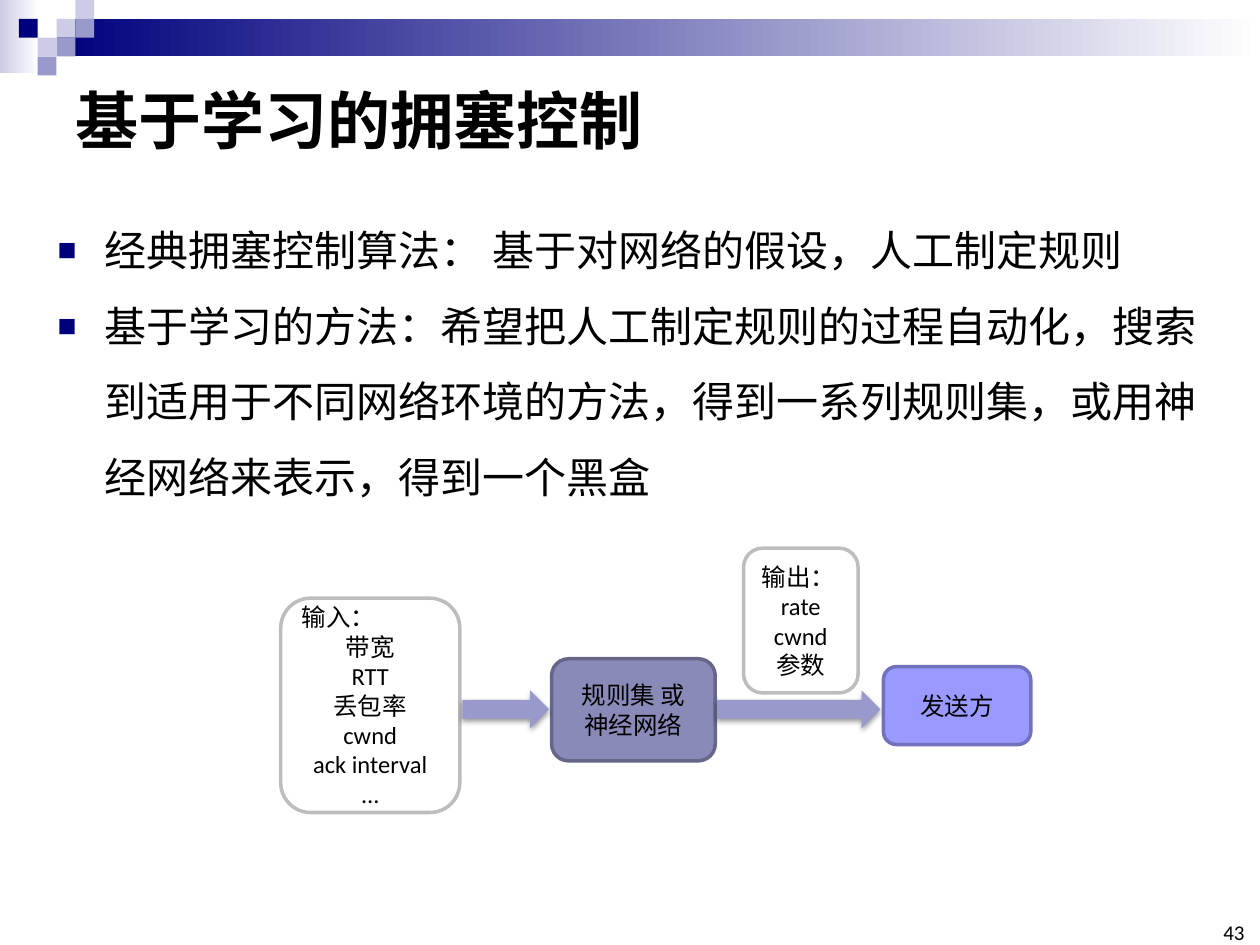
import pptx
import pptx.dml.color
import pptx.enum.shapes
import pptx.enum.text
import pptx.oxml
import pptx.oxml.ns
import pptx.util

Cm = pptx.util.Cm
SHAPE = pptx.enum.shapes.MSO_SHAPE
ALIGN = pptx.enum.text.PP_ALIGN
ANCHOR = pptx.enum.text.MSO_ANCHOR
FONT = "Calibri"
NAVY, LILAC, PALE, WHITE, BLACK = "00007D", "9999CC", "CCCCE6", "FFFFFF", "000000"

TITLE = "基于学习的拥塞控制"
POINTS = [
    "经典拥塞控制算法： 基于对网络的假设，人工制定规则",
    "基于学习的方法：希望把人工制定规则的过程自动化，搜索到适用于不同网络环境的方法，"
    "得到一系列规则集，或用神经网络来表示，得到一个黑盒",
]
PAGE_NUMBER = "43"
CELL = 0.38
BANDS = [((0, 0, 0.79, 1.47), PALE), ((1.14, 0.38, 24.26, 0.76), NAVY)]
SQUARES = [(3, 1, PALE), (4, 0, PALE), (4, 1, LILAC), (2, 2, PALE),
           (1, 1, NAVY), (3, 2, LILAC), (2, 3, LILAC)]
NODES = [
    ((11.12, 13.28, 3.3, 2.06), "8A8AB9", "666689", None, ["规则集 或", "神经网络"]),
    ((5.66, 12.06, 3.61, 4.32), WHITE, "BDBDBD", "输入：",
     ["带宽", "RTT", "丢包率", "cwnd", "ack interval", "…"]),
    ((14.99, 11.05, 2.31, 2.92), WHITE, "BDBDBD", "输出：", ["rate", "cwnd", "参数"]),
    ((17.81, 13.44, 2.97, 1.57), "9999FF", "7171BD", None, ["发送方"]),
]
ARROWS = [(9.32, 13.92, 1.75, 0.76), (14.45, 13.92, 3.3, 0.76)]


def color(value):
    """Turn a hex string into a colour."""
    return pptx.dml.color.RGBColor.from_string(value)


def lengths(place):
    """Turn centimetres into lengths."""
    return [Cm(value) for value in place]


def move(shape, place):
    """Put a shape at left, top, width, height."""
    shape.left, shape.top, shape.width, shape.height = lengths(place)


def write(box, lines, size, align, anchor, bold=False):
    """Write one paragraph per line and return the paragraphs."""
    frame = box.text_frame
    frame.word_wrap = True
    frame.auto_size = pptx.enum.text.MSO_AUTO_SIZE.NONE
    frame.vertical_anchor = anchor
    for index, line in enumerate(lines):
        para = frame.add_paragraph() if index else frame.paragraphs[0]
        para.alignment = align
        span = para.add_run()
        span.text = line
        span.font.size = pptx.util.Pt(size)
        span.font.name = FONT
        span.font.bold = bold
        span.font.color.rgb = color(BLACK)
    return frame.paragraphs


def add_block(page, kind, place, fill, line=None):
    """Add a flat preset shape."""
    block = page.shapes.add_shape(kind, *lengths(place))
    block.shadow.inherit = False
    block.fill.solid()
    block.fill.fore_color.rgb = color(fill)
    if line:
        block.line.color.rgb = color(line)
        block.line.width = pptx.util.Pt(2)
    else:
        block.line.fill.background()
    return block


def add_xml(parent, text):
    """Append a drawing element given as XML."""
    head, tail = text.split(" ", 1)
    parent.append(pptx.oxml.parse_xml(f"{head} {pptx.oxml.ns.nsdecls('a')} {tail}"))


def add_bullet(para):
    """Give a paragraph a square navy bullet and a hanging indent."""
    para.line_spacing = 1.5
    para.space_before = para.space_after = pptx.util.Pt(0)
    props = para._p.get_or_add_pPr()
    props.set("marL", str(Cm(0.95)))
    props.set("indent", str(-Cm(0.95)))
    add_xml(props, f'<a:buClr ><a:srgbClr val="{NAVY}"/></a:buClr>')
    add_xml(props, '<a:buSzPct val="75000"/>')
    add_xml(props, '<a:buChar char="■"/>')


def add_shadow(shape):
    """Drop a soft shadow straight below a shape."""
    effects = shape._element.spPr.find(pptx.oxml.ns.qn("a:effectLst"))
    blur, distance = pptx.util.Pt(3.1), pptx.util.Pt(1.6)
    add_xml(effects, f'<a:outerShdw blurRad="{blur}" dist="{distance}" dir="5400000" rotWithShape="0">'
                     f'<a:srgbClr val="{BLACK}"><a:alpha val="38000"/></a:srgbClr></a:outerShdw>')


def add_header(page):
    """Draw the fading bands and the grid of squares."""
    for place, start in BANDS:
        fill = add_block(page, SHAPE.RECTANGLE, place, start).fill
        fill.gradient()
        fill.gradient_angle = 0
        for stop, shade in zip(fill.gradient_stops, (start, WHITE)):
            stop.color.rgb = color(shade)
    for column, row, shade in SQUARES:
        add_block(page, SHAPE.RECTANGLE, (column * CELL, row * CELL, CELL, CELL), shade)


def add_flow(page):
    """Draw the boxes and arrows of the control loop."""
    for place, fill, line, heading, lines in NODES:
        node = add_block(page, SHAPE.ROUNDED_RECTANGLE, place, fill, line)
        texts = [heading] + lines if heading else lines
        paras = write(node, texts, 14, ALIGN.CENTER, ANCHOR.MIDDLE)
        if heading:
            paras[0].alignment = ALIGN.LEFT
    for place in ARROWS:
        add_shadow(add_block(page, SHAPE.RIGHT_ARROW, place, LILAC))


def main():
    """Build the slide and save it."""
    deck = pptx.Presentation()
    deck.slide_width, deck.slide_height = Cm(25.4), Cm(19.05)
    page = deck.slides.add_slide(deck.slide_layouts[1])
    add_header(page)
    title, body = page.shapes.title, page.placeholders[1]
    move(title, (1.27, 1.27, 22.86, 2.26))
    write(title, [TITLE], 36, ALIGN.LEFT, ANCHOR.MIDDLE, bold=True)
    move(body, (0.91, 3.89, 23.67, 7.87))
    for para in write(body, POINTS, 24, ALIGN.LEFT, ANCHOR.TOP):
        add_bullet(para)
    add_flow(page)
    number = page.shapes.add_textbox(*lengths((24.51, 18.62, 0.58, 0.43)))
    write(number, [PAGE_NUMBER], 12, ALIGN.RIGHT, ANCHOR.BOTTOM)
    frame = number.text_frame
    frame.margin_left = frame.margin_right = frame.margin_top = frame.margin_bottom = 0
    deck.save("out.pptx")


if __name__ == "__main__":
    main()
